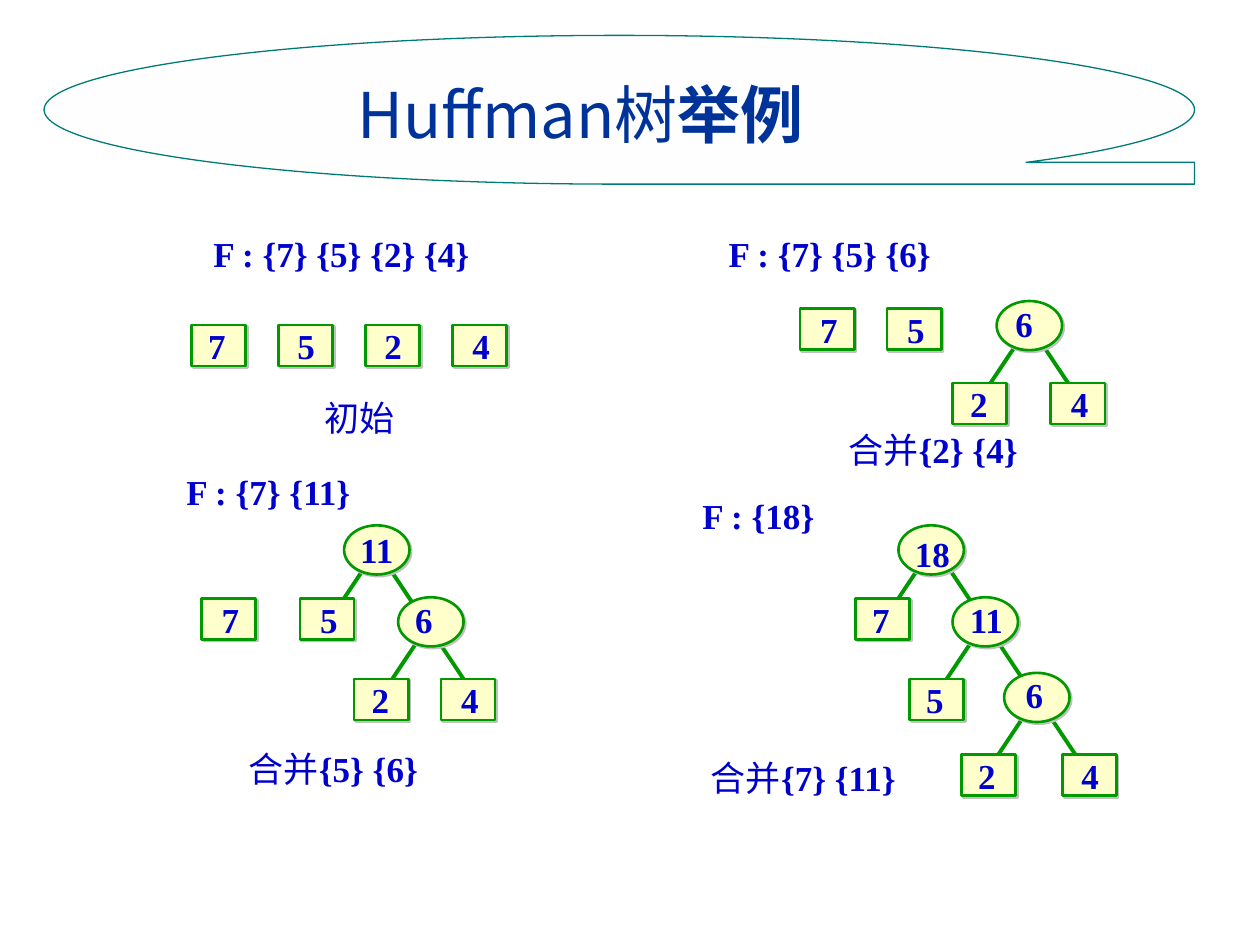
from dataclasses import dataclass

from lxml import etree
from pptx import Presentation
from pptx.dml.color import RGBColor
from pptx.enum.shapes import MSO_CONNECTOR, MSO_SHAPE
from pptx.enum.text import MSO_ANCHOR, MSO_AUTO_SIZE, PP_ALIGN
from pptx.oxml import parse_xml
from pptx.oxml.ns import nsdecls, qn
from pptx.shapes.autoshape import Shape
from pptx.slide import Slide
from pptx.text.text import TextFrame
from pptx.util import Pt

RECTANGLE = MSO_SHAPE.RECTANGLE
OVAL = MSO_SHAPE.OVAL
BANNER = MSO_SHAPE.FLOWCHART_SEQUENTIAL_ACCESS_STORAGE
STRAIGHT = MSO_CONNECTOR.STRAIGHT
MIDDLE = MSO_ANCHOR.MIDDLE
CENTER = PP_ALIGN.CENTER
NO_AUTOFIT = MSO_AUTO_SIZE.NONE

SERIF = "Times New Roman"
SANS = "Arial"
CJK = "Noto Sans CJK SC"
TITLE_BLUE = "003399"
TEXT_BLUE = "0000CC"
NODE_FILL = "FFFFCC"
NODE_GREEN = "009900"
BANNER_TEAL = "007A77"
SHADOW_GRAY = "C0C0C0"

LEAF_WIDTH, LEAF_HEIGHT = 31, 23.4
INNER_WIDTH, INNER_HEIGHT = 37.4, 28.1
LABEL_HEIGHT = 31.6
EDGE_GAP, EDGE_TOP = 6.2, 23
EDGE_RUN, EDGE_DROP = 18.7, 28


@dataclass
class Span:
    text: str
    bold: bool = True
    font: str = SERIF
    size: float = 20
    color: str = TEXT_BLUE


@dataclass
class Caption:
    spans: list[Span]
    left: float
    top: float
    width: float


@dataclass
class Leaf:
    label: str
    left: float
    top: float
    label_shift: float = 1


@dataclass
class Inner:
    label: str
    left: float
    top: float
    label_shift: float = 0
    label_rise: float = 3
    label_width: float = 24.5
    right_edge_shift: float = 0
    label_inside: bool = False


@dataclass
class Step:
    forest: Caption
    action: Caption
    leaves: list[Leaf]
    inners: list[Inner]


def merged(pair: str) -> list[Span]:
    return [Span("合并", bold=False), Span(pair)]


STEPS = [
    Step(Caption([Span("F : {7} {5} {2} {4}")], 114.5, 128.9, 161.3),
         Caption([Span("初始", bold=False)], 178.6, 222.5, 54),
         [Leaf(label, 109.4 + 49.7 * column, 185.8, shift)
          for column, (label, shift) in enumerate(
              [("7", -1), ("5", 0.4), ("2", 0.4), ("4", 1)])],
         []),
    Step(Caption([Span("F : {7} {5} {6}")], 409, 128.9, 130.3),
         Caption(merged("{2} {4}"), 475.2, 241.2, 116),
         [Leaf("7", 457.2, 176.4), Leaf("5", 506.9, 176.4),
          Leaf("2", 544.3, 218.9, -0.4), Leaf("4", 600.5, 218.9)],
         [Inner("6", 569.5, 172, -3)]),
    Step(Caption([Span("F : {7} {11} ")], 95.8, 265, 120.2),
         Caption(merged("{5} {6}"), 132.5, 423.4, 116),
         [Leaf("7", 115.2, 342), Leaf("5", 171.4, 342),
          Leaf("2", 202.3, 388.1, -0.4), Leaf("4", 252, 388.1)],
         [Inner("11", 196.6, 300.2, label_inside=True),
          Inner("6", 227.5, 341.3, -4, label_width=42.5, right_edge_shift=5)]),
    Step(Caption([Span("F : {18} ")], 393.8, 278.6, 84.2),
         Caption(merged("{7} {11}"), 396, 428.4, 126),
         [Leaf("7", 488.9, 342, -1), Leaf("5", 519.8, 388.1, -1),
          Leaf("2", 549.4, 431.3, -1), Leaf("4", 607, 431.3, 0.4)],
         [Inner("18", 513.4, 300.2, 0.7, 0, 50.4, right_edge_shift=-4.3),
          Inner("11", 544.3, 341.3, 0.7, 3, 50.4, right_edge_shift=1),
          Inner("6", 573.8, 384.5, -1.4, 3.6, 43.2)]),
]


def rgb(value: str) -> RGBColor:
    return RGBColor.from_string(value)


def write_spans(text_frame: TextFrame, spans: list[Span], wrap: bool = False) -> None:
    text_frame.word_wrap = wrap
    text_frame.auto_size = NO_AUTOFIT
    text_frame.vertical_anchor = MIDDLE
    paragraph = text_frame.paragraphs[0]
    paragraph.alignment = CENTER
    for span in spans:
        run = paragraph.add_run()
        run.text = span.text
        run.font.name = span.font
        run.font.size = Pt(span.size)
        run.font.bold = span.bold
        run.font.color.rgb = rgb(span.color)
        east_asian = etree.SubElement(run.font._element, qn("a:ea"))
        east_asian.set("typeface", CJK)


def draw_caption(slide: Slide, caption: Caption) -> None:
    box = slide.shapes.add_textbox(
        Pt(caption.left), Pt(caption.top), Pt(caption.width), Pt(LABEL_HEIGHT))
    write_spans(box.text_frame, caption.spans)


def draw_node(slide: Slide, kind: MSO_SHAPE, left: float, top: float,
              width: float, height: float) -> Shape:
    shape = slide.shapes.add_shape(kind, Pt(left), Pt(top), Pt(width), Pt(height))
    shape.fill.solid()
    shape.fill.fore_color.rgb = rgb(NODE_FILL)
    shape.line.color.rgb = rgb(NODE_GREEN)
    shape.line.width = Pt(1.5)
    shape.element.spPr.append(parse_xml(
        f'<a:effectLst {nsdecls("a")}><a:outerShdw dist="{Pt(1.4)}" dir="2700000">'
        f'<a:srgbClr val="{SHADOW_GRAY}"/></a:outerShdw></a:effectLst>'))
    return shape


def draw_leaf(slide: Slide, leaf: Leaf) -> None:
    draw_node(slide, RECTANGLE, leaf.left, leaf.top, LEAF_WIDTH, LEAF_HEIGHT)
    label_width = 24.5
    label_left = leaf.left + (LEAF_WIDTH - label_width) / 2 + leaf.label_shift
    draw_caption(slide, Caption([Span(leaf.label)], label_left, leaf.top - 4, label_width))


def draw_inner(slide: Slide, inner: Inner) -> None:
    shape = draw_node(slide, OVAL, inner.left, inner.top, INNER_WIDTH, INNER_HEIGHT)
    spans = [Span(inner.label)]
    if inner.label_inside:
        write_spans(shape.text_frame, spans)
        return
    label_left = inner.left + (INNER_WIDTH - inner.label_width) / 2 + inner.label_shift
    draw_caption(slide, Caption(
        spans, label_left, inner.top - inner.label_rise, inner.label_width))


def draw_edges(slide: Slide, inner: Inner) -> None:
    """Draw the two branches that leave the bottom of an inner node."""
    center = inner.left + INNER_WIDTH / 2
    for side, shift in ((-1, 0), (1, inner.right_edge_shift)):
        start_x = center + side * EDGE_GAP
        start_y = inner.top + EDGE_TOP + shift
        edge = slide.shapes.add_connector(
            STRAIGHT, Pt(start_x), Pt(start_y),
            Pt(start_x + side * EDGE_RUN), Pt(start_y + EDGE_DROP))
        edge.line.color.rgb = rgb(NODE_GREEN)
        edge.line.width = Pt(2.25)
        etree.SubElement(edge.element.spPr, qn("a:effectLst"))


def draw_title(slide: Slide) -> None:
    banner = slide.shapes.add_shape(BANNER, Pt(25.2), Pt(20.2), Pt(657.4), Pt(85))
    banner.shadow.inherit = False
    banner.fill.gradient()
    banner.fill.gradient_angle = 135
    for stop, color in zip(banner.fill.gradient_stops, ("FEFEFE", "FFFFFF")):
        stop.color.rgb = rgb(color)
    banner.line.color.rgb = rgb(BANNER_TEAL)
    banner.line.width = Pt(0.75)
    title = slide.shapes.title
    title.element.addprevious(banner.element)
    title.left, title.top, title.width, title.height = Pt(59.8), Pt(31.7), Pt(552.2), Pt(66.2)
    write_spans(title.text_frame, [
        Span("Huffman树", False, CJK, 36, TITLE_BLUE),
        Span("举例 ", True, SANS, 36, TITLE_BLUE)], wrap=True)


def main() -> None:
    presentation = Presentation()
    presentation.slide_width, presentation.slide_height = Pt(720), Pt(540)
    slide = presentation.slides.add_slide(presentation.slide_layouts[5])
    draw_title(slide)
    for step in STEPS:
        draw_caption(slide, step.forest)
        draw_caption(slide, step.action)
        for inner in step.inners:
            draw_edges(slide, inner)
        for leaf in step.leaves:
            draw_leaf(slide, leaf)
        for inner in step.inners:
            draw_inner(slide, inner)
    presentation.save("out.pptx")


if __name__ == "__main__":
    main()
